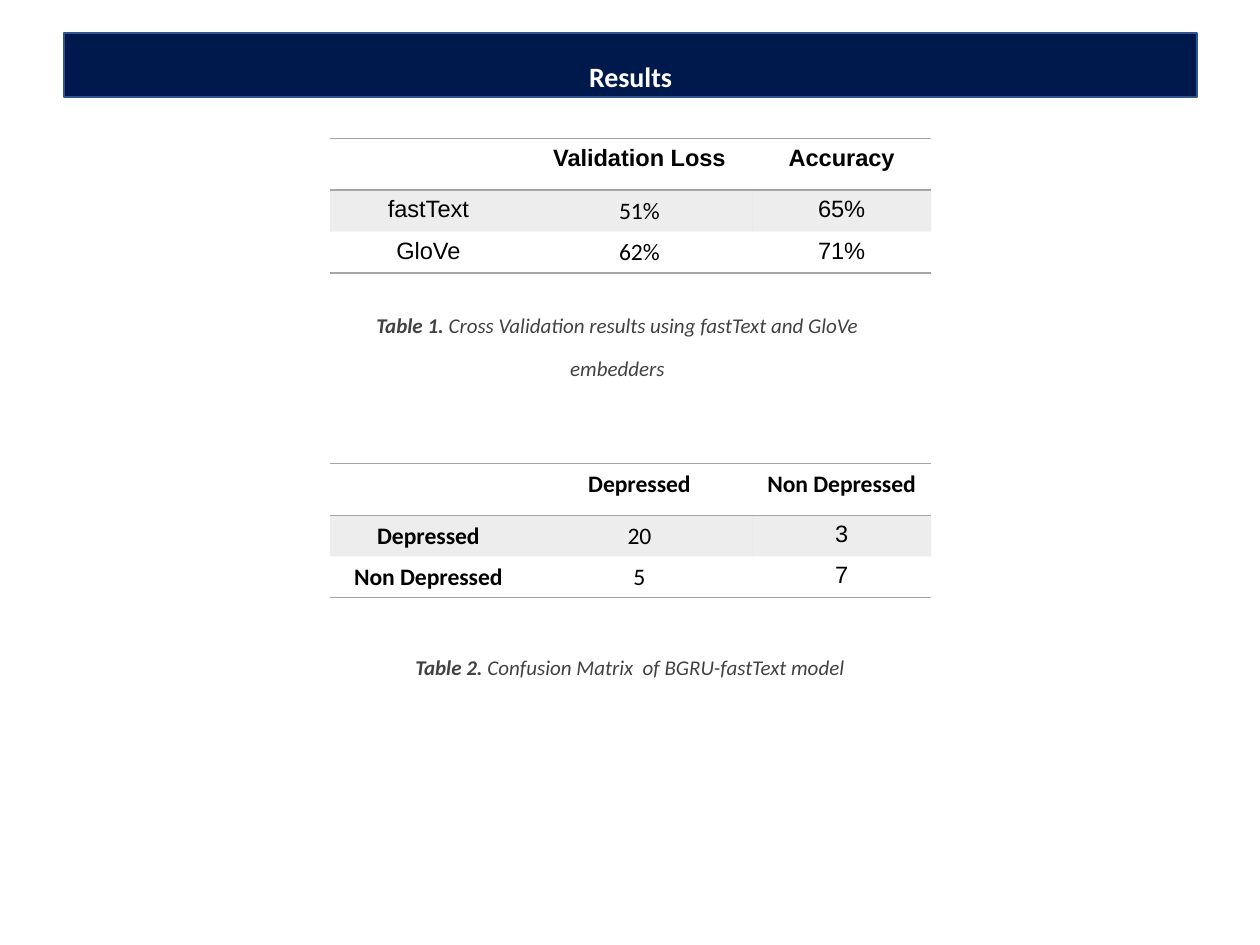
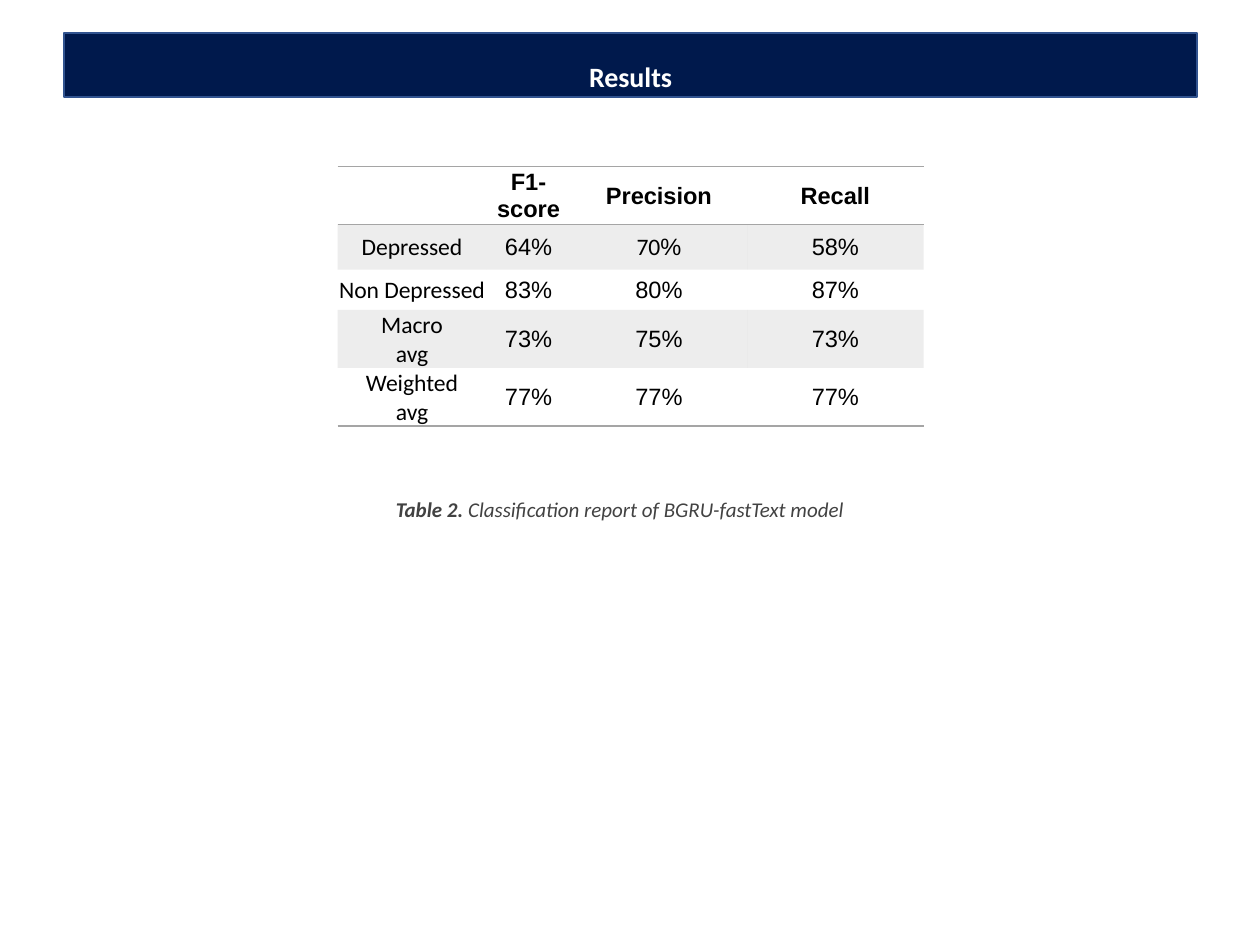
from lxml import etree
from pptx import Presentation
from pptx import util as u
from pptx.dml.color import RGBColor
from pptx.enum import shapes, text
from pptx.oxml.ns import qn

COLORS = {"navy": "00194C", "edge": "31538F", "white": "FFFFFF",
          "black": "000000", "caption": "424242", "gray": "A5A5A5"}
TITLE = {"size": u.Pt(16), "name": "Calibri", "bold": True}
CAPTION = {"size": u.Pt(12), "name": "Calibri", "italic": True}
CELL = {"size": u.Pt(13.5)}
MARGIN_SIDES = ("left", "top", "right", "bottom")
DEFAULT_MARGINS = (0.1, 0.05, 0.1, 0.05)
TIGHT_MARGINS = (0.01, 0.01, 0.01, 0)
LINE_SPACING = 1.7


def rgb(name):
    return RGBColor.from_string(COLORS[name])


def add_run(p, content, color, **fmt):
    r = p.add_run()
    r.text = content
    for key, value in fmt.items():
        setattr(r.font, key, value)
    r.font.color.rgb = rgb(color)


def center(p, spacing=None):
    p.alignment = text.PP_ALIGN.CENTER
    p.line_spacing = spacing


def add_title_band(s, title):
    sp = s.shapes.add_shape(shapes.MSO_SHAPE.RECTANGLE, u.Inches(0.51), u.Inches(0.26),
                            u.Inches(8.99), u.Inches(0.51))
    sp.shadow.inherit = False
    sp.fill.solid()
    sp.fill.fore_color.rgb = rgb("navy")
    sp.line.color.rgb = rgb("edge")
    sp.line.width = u.Pt(1)
    tf = sp.text_frame
    tf.vertical_anchor = text.MSO_ANCHOR.MIDDLE
    p = tf.paragraphs[0]
    center(p, LINE_SPACING)
    add_run(p, title, "white", **TITLE)


def add_caption(s, left, top, height, label, description):
    sp = s.shapes.add_textbox(u.Inches(left), u.Inches(top), u.Inches(4.32), u.Inches(height))
    tf = sp.text_frame
    tf.word_wrap = True
    tf.auto_size = text.MSO_AUTO_SIZE.SHAPE_TO_FIT_TEXT
    p = tf.paragraphs[0]
    center(p, LINE_SPACING)
    add_run(p, label + " ", "caption", bold=True, **CAPTION)
    add_run(p, description, "caption", bold=False, **CAPTION)


def set_borders(cell, ruled_sides):
    """Rule the given sides ("T", "B") in gray and clear the others."""
    tc_pr = cell._tc.get_or_add_tcPr()
    for i, side in enumerate("LRTB"):
        ln = etree.Element(qn(f"a:ln{side}"), w=str(u.Pt(1)))
        if side in ruled_sides:
            fill = etree.SubElement(ln, qn("a:solidFill"))
            etree.SubElement(fill, qn("a:srgbClr"), val=COLORS["gray"])
        else:
            etree.SubElement(ln, qn("a:noFill"))
        tc_pr.insert(i, ln)


def fill_cell(cell, shaded):
    if not shaded:
        cell.fill.background()
        return
    cell.fill.solid()
    cell.fill.fore_color.rgb = rgb("gray")
    color = cell._tc.tcPr.find(".//" + qn("a:srgbClr"))
    etree.SubElement(color, qn("a:alpha"), val="20000")


def write_cell(cell, content, font, bold):
    """Write a string (one paragraph a line) or a list of (text, font) runs."""
    tf = cell.text_frame
    lines = [[(line, font)] for line in content.split("\n")] if isinstance(content, str) else [content]
    for i, runs in enumerate(lines):
        p = tf.add_paragraph() if i else tf.paragraphs[0]
        center(p)
        for part, name in runs:
            add_run(p, part, "black", name=name, bold=bold, **CELL)


def add_ruled_table(s, left, top, widths, heights, rows, header_font, column_fonts,
                    bold_labels=False, margins=DEFAULT_MARGINS, anchor=text.MSO_ANCHOR.TOP):
    """Add a table ruled above and below its header and at its foot, odd rows shaded."""
    frame = s.shapes.add_table(len(rows), len(widths), u.Inches(left), u.Inches(top),
                               u.Inches(sum(widths)), u.Inches(sum(heights)))
    table = frame.table
    table.first_row = table.horz_banding = False
    for column, width in zip(table.columns, widths):
        column.width = u.Inches(width)
    for row, height in zip(table.rows, heights):
        row.height = u.Inches(height)
    ruled_edges = {0, 1, len(rows)}
    for i, row in enumerate(rows):
        sides = [side for side, edge in (("T", i), ("B", i + 1)) if edge in ruled_edges]
        for j, content in enumerate(row):
            cell = table.cell(i, j)
            fill_cell(cell, i % 2 == 1)
            set_borders(cell, sides)
            if not content:
                continue
            for side, margin in zip(MARGIN_SIDES, margins):
                setattr(cell, f"margin_{side}", u.Inches(margin))
            cell.vertical_anchor = anchor
            font = column_fonts[j] if i else header_font
            write_cell(cell, content, font, i == 0 or (bold_labels and j == 0))


def add_results_slide(prs):
    s = prs.slides.add_slide(prs.slide_layouts[6])
    add_title_band(s, "Results")
    return s


def build_validation_slide(prs):
    s = add_results_slide(prs)
    grid = {"left": 2.62, "widths": (1.56, 1.79, 1.42), "heights": (0.41, 0.32, 0.32)}
    add_ruled_table(s, top=1.1, **grid, header_font="Arial",
                    column_fonts=("Arial", "Calibri", "Arial"),
                    rows=[("", "Validation Loss", "Accuracy"),
                          ("fastText", "51%", "65%"),
                          ("GloVe", "62%", "71%")])
    add_caption(s, 2.74, 2.29, 0.75, "Table 1.",
                "Cross Validation results using fastText and GloVe embedders")
    add_ruled_table(s, top=3.68, **grid, header_font="Calibri", bold_labels=True,
                    column_fonts=("Calibri", "Calibri", "Arial"),
                    rows=[("", "Depressed", "Non Depressed"),
                          ("Depressed", "20", "3"),
                          ("Non Depressed", "5", "7")])
    add_caption(s, 2.84, 5.01, 0.3, "Table 2.", "Confusion Matrix  of BGRU-fastText model")


def build_classification_slide(prs):
    s = add_results_slide(prs)
    add_ruled_table(s, 2.68, 1.32, (1.18, 0.67, 1.4, 1.4), (0.41, 0.36, 0.32, 0.42, 0.37),
                    header_font="Arial", column_fonts=("Calibri", "Arial", "Arial", "Arial"),
                    margins=TIGHT_MARGINS, anchor=text.MSO_ANCHOR.MIDDLE,
                    rows=[("", "F1-score", "Precision", "Recall"),
                          ("Depressed", "64%", [("70", "Calibri"), ("%", "Arial")], "58%"),
                          ("Non Depressed", "83%", "80%", "87%"),
                          ("Macro\navg", "73%", "75%", "73%"),
                          ("Weighted\navg", "77%", "77%", "77%")])
    add_caption(s, 2.76, 3.75, 0.4, "Table 2.", "Classification report of BGRU-fastText model")


def main():
    prs = Presentation()
    prs.slide_width, prs.slide_height = u.Inches(10), u.Inches(7.5)
    build_validation_slide(prs)
    build_classification_slide(prs)
    prs.save("out.pptx")


if __name__ == "__main__":
    main()
